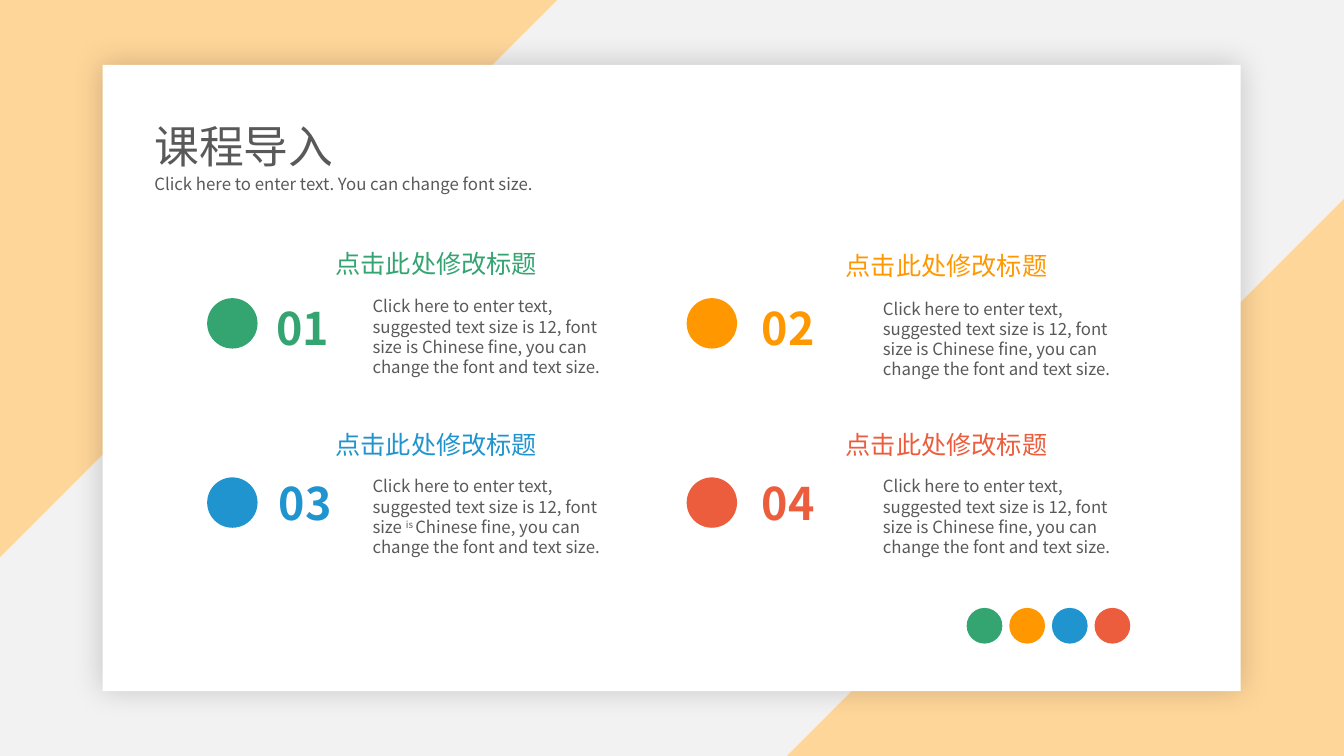
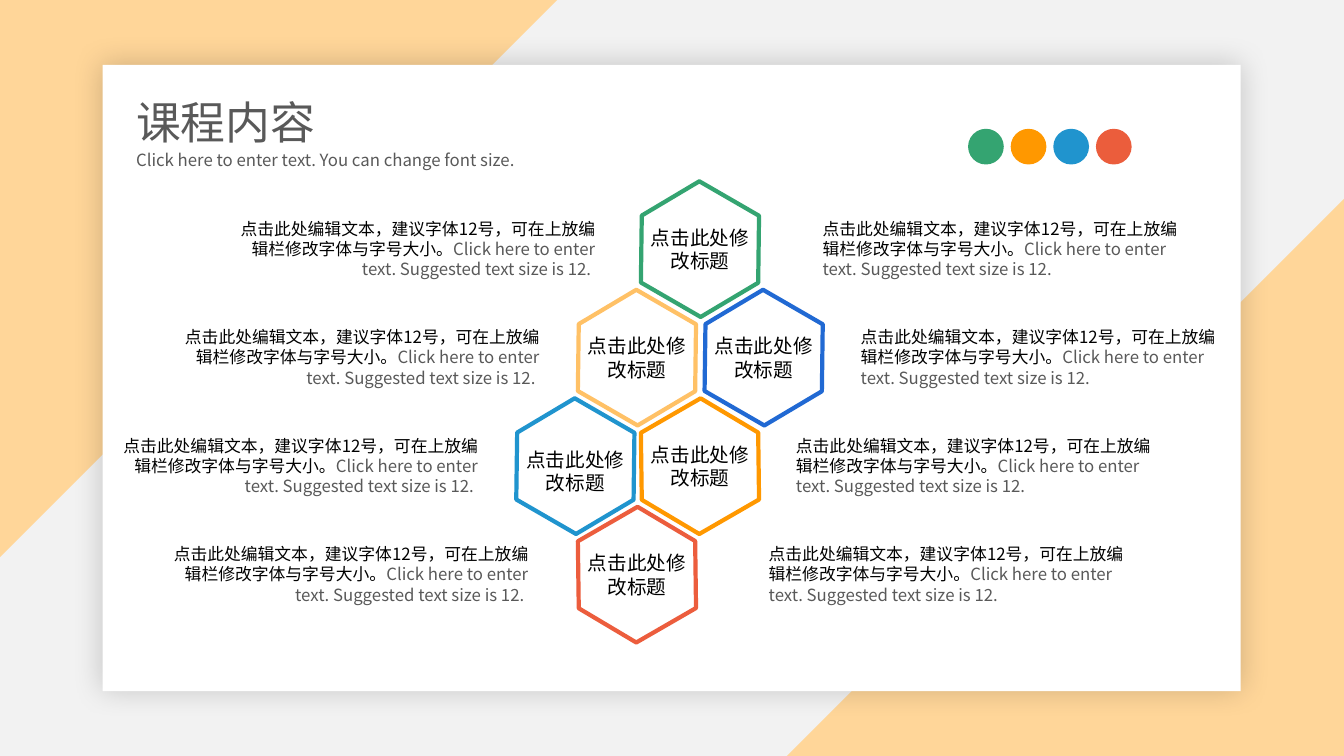
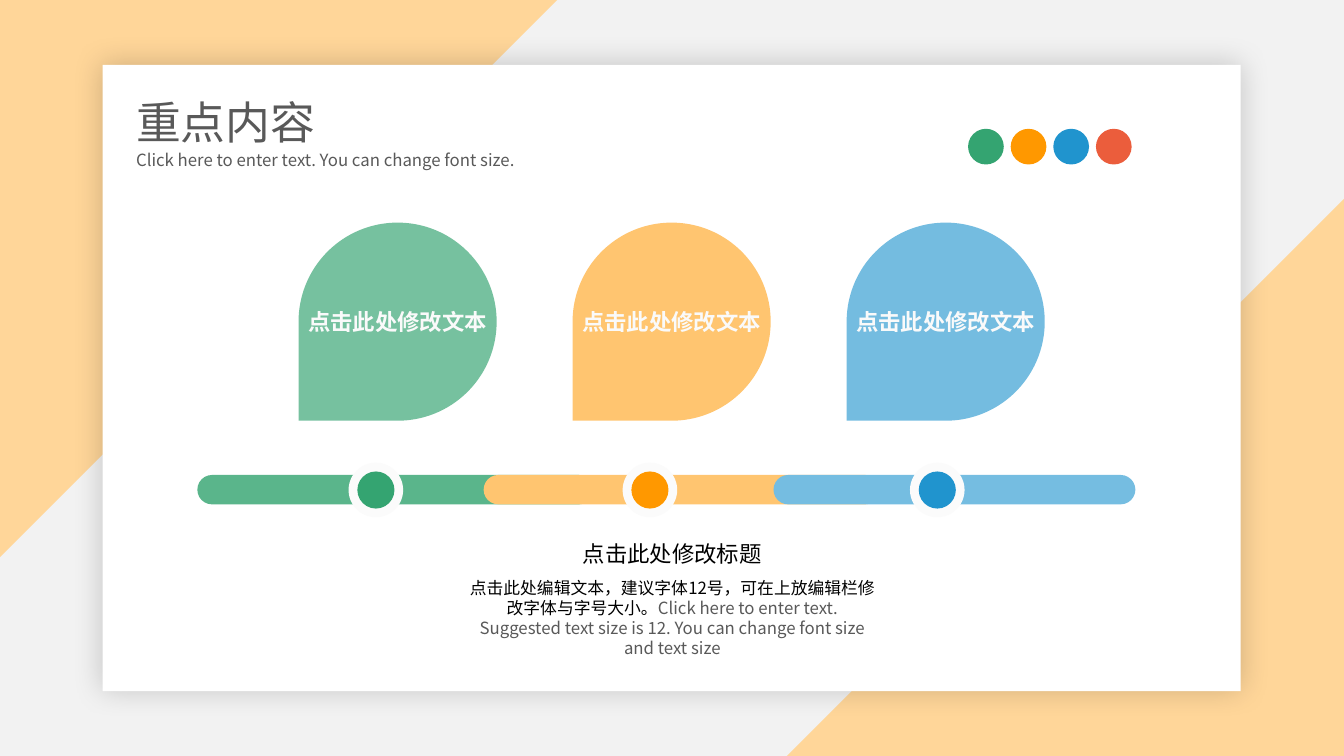
from collections import namedtuple

from lxml.etree import SubElement
from pptx import Presentation
from pptx.dml.color import RGBColor
from pptx.enum.shapes import MSO_SHAPE
from pptx.enum.text import MSO_ANCHOR, MSO_AUTO_SIZE, PP_ALIGN
from pptx.oxml.ns import qn
from pptx.util import Pt

FONT = "Noto Sans CJK SC"
WHITE = RGBColor(0xFF, 0xFF, 0xFF)
BLACK = RGBColor(0x00, 0x00, 0x00)
GREY = RGBColor(0x59, 0x59, 0x59)
PALE_GREY = RGBColor(0xF2, 0xF2, 0xF2)
PEACH = RGBColor(0xFF, 0xD6, 0x99)
GREEN = RGBColor(0x34, 0xA4, 0x71)
ORANGE = RGBColor(0xFF, 0x98, 0x00)
BLUE = RGBColor(0x20, 0x94, 0xCE)
RED = RGBColor(0xEC, 0x5D, 0x3D)
DEEP_RED = RGBColor(0xE9, 0x45, 0x20)
ROYAL_BLUE = RGBColor(0x21, 0x69, 0xD3)
LIGHT_ORANGE = RGBColor(0xFF, 0xC5, 0x70)
LIGHT_BLUE = RGBColor(0x75, 0xBD, 0xE1)
RING_WHITE = RGBColor(0xFB, 0xFB, 0xFB)
LABEL_WHITE = RGBColor(0xFA, 0xFA, 0xFA)

SUBTITLE = "Click here to enter text. You can change font size."
HEADING = "点击此处修改标题"
PETAL_LABEL = "点击此处修改文本"
CHINESE_NOTE = "点击此处编辑文本，建议字体12号，可在上放编辑栏修改字体与字号大小。"
ENGLISH_NOTE = "Click here to enter text. Suggested text size is 12."
INTRO_START = "Click here to enter text, suggested text size is 12, font size "
INTRO_END = "Chinese fine, you can change the font and text size."

Run = namedtuple("Run", "text colour raised", defaults=(GREY, False))
Section = namedtuple(
    "Section", "number colour circle number_place align text_place body_drop raised")
Hexagon = namedtuple("Hexagon", "left row colour rotation alpha label_drop",
                     defaults=(30, None, 21.5))


def apply(target, values):
    for name, value in values.items():
        setattr(target, name, value)


def place(shape, box):
    names = ("left", "top", "width", "height")
    apply(shape, {name: Pt(value) for name, value in zip(names, box)})


def add_figure(shapes, kind, box, fill=None, line=None, alpha=None, rotation=0):
    shape = shapes.add_shape(kind, *(Pt(value) for value in box))
    shape.shadow.inherit = False
    shape.rotation = rotation
    if fill is None:
        shape.fill.background()
    else:
        shape.fill.solid()
        shape.fill.fore_color.rgb = fill
    if line is None:
        shape.line.fill.background()
    else:
        shape.line.color.rgb = line
        shape.line.width = Pt(3)
    if alpha is not None:
        for colour in shape.element.iter(qn("a:srgbClr")):
            SubElement(colour, qn("a:alpha"), val=str(alpha * 1000))
    return shape


def write_text(shape, runs, size, align=PP_ALIGN.LEFT, bold=False):
    apply(shape.text_frame, {
        "word_wrap": True,
        "auto_size": MSO_AUTO_SIZE.SHAPE_TO_FIT_TEXT,
        "vertical_anchor": MSO_ANCHOR.TOP,
    })
    paragraph = shape.text_frame.paragraphs[0]
    if shape.is_placeholder:
        properties = paragraph._p.get_or_add_pPr()
        properties.set("marL", "0")
        properties.set("indent", "0")
        SubElement(properties, qn("a:buNone"))
    apply(paragraph, {
        "alignment": align,
        "space_before": Pt(0),
        "line_spacing": Pt(size * 1.2),
    })
    for content in runs:
        run = paragraph.add_run()
        run.text = content.text
        apply(run.font, {"size": Pt(size), "bold": bold, "name": FONT})
        run.font.color.rgb = content.colour
        properties = run._r.get_or_add_rPr()
        SubElement(properties, qn("a:ea"), typeface=FONT)
        if content.raised:
            properties.set("baseline", "30000")


def add_text(slide, box, runs, size, **formats):
    shape = slide.shapes.add_textbox(*(Pt(value) for value in box))
    write_text(shape, runs, size, **formats)


def add_card_shadow(card):
    effects = card.element.spPr.find(qn("a:effectLst"))
    shadow = SubElement(effects, qn("a:outerShdw"), blurRad=str(Pt(22)),
                        dist="0", dir="0", algn="ctr", rotWithShape="0")
    colour = SubElement(shadow, qn("a:srgbClr"), val=str(BLACK))
    SubElement(colour, qn("a:alpha"), val="19000")


def move_backdrop_to_layout(slide, layout):
    shapes = slide.shapes
    triangle = MSO_SHAPE.RIGHT_TRIANGLE
    backdrop = [
        add_figure(shapes, MSO_SHAPE.RECTANGLE, (0, 0, 960, 540), PALE_GREY),
        add_figure(shapes, triangle, (0, 0, 398, 398), PEACH, rotation=90),
        add_figure(shapes, triangle, (562, 142, 398, 398), PEACH, rotation=270),
        add_figure(shapes, MSO_SHAPE.RECTANGLE, (73.25, 46.25, 813, 447.5), WHITE),
    ]
    add_card_shadow(backdrop[-1])
    for index, shape in enumerate(backdrop):
        shape.element.nvSpPr.cNvPr.set("id", str(101 + index))
        layout.shapes.element.insert(2 + index, shape.element)


def add_titles(slide, title, left=90, top=64):
    heading, subtitle = slide.shapes.title, slide.placeholders[1]
    place(heading, (left, top, 200, 46))
    write_text(heading, [Run(title)], 32)
    place(subtitle, (left, top + 39, 294.5, 21.8))
    write_text(subtitle, [Run(SUBTITLE)], 12)


def add_dots(slide, left=691.5, top=92):
    group = slide.shapes.add_group_shape()
    dots = ((GREEN, None), (ORANGE, None), (BLUE, None), (DEEP_RED, 87))
    for index, (colour, alpha) in enumerate(dots):
        add_figure(group.shapes, MSO_SHAPE.OVAL,
                   (left + index * 30.45, top, 25.5, 25.5), colour, alpha=alpha)


def add_section(slide, section):
    left, top = section.text_place
    add_figure(slide.shapes, MSO_SHAPE.OVAL, (*section.circle, 36, 36), section.colour)
    add_text(slide, (*section.number_place, 86.4, 46),
             [Run(section.number, section.colour)], 32, align=section.align, bold=True)
    add_text(slide, (left, top, 170, 29), [Run(HEADING, section.colour)], 18)
    if section.raised:
        runs = [Run(INTRO_START), Run("is ", raised=True), Run(INTRO_END)]
    else:
        runs = [Run(INTRO_START + "is " + INTRO_END)]
    add_text(slide, (left + 26.5, top + section.body_drop, 195, 65.5), runs, 12)


def fill_introduction(slide):
    add_titles(slide, "课程导入", 103, 81.5)
    center, left = PP_ALIGN.CENTER, PP_ALIGN.LEFT
    sections = (
        Section("01", GREEN, (148, 213), (173, 211), center, (232.5, 173.5), 34.5, False),
        Section("02", ORANGE, (490.5, 213), (537, 211), left, (597, 175), 34.5, False),
        Section("03", BLUE, (148, 341), (175, 336), center, (232.5, 303), 33.5, True),
        Section("04", RED, (490.5, 341), (537, 336), left, (597, 303), 33.5, False),
    )
    for section in sections:
        add_section(slide, section)
    add_dots(slide, 690.5, 434.25)


def fill_contents(slide):
    add_titles(slide, "课程内容")
    add_dots(slide)
    row_step = 77.5
    hexagons = (
        Hexagon(452, 0, GREEN),
        Hexagon(407, 1, ORANGE, alpha=60),
        Hexagon(452, 2, ORANGE, rotation=330),
        Hexagon(407, 3, RED, rotation=330),
        Hexagon(497.5, 1, ROYAL_BLUE),
        Hexagon(363, 2, BLUE, label_drop=25),
    )
    for hexagon in hexagons:
        top = 136.25 + hexagon.row * row_step
        shape = add_figure(slide.shapes, MSO_SHAPE.HEXAGON, (hexagon.left, top, 96, 83.5),
                           line=hexagon.colour, alpha=hexagon.alpha,
                           rotation=hexagon.rotation)
        shape.adjustments[0] = 0.28
        add_text(slide, (hexagon.left - 0.75, top + hexagon.label_drop, 97.5, 41),
                 [Run(HEADING, BLACK)], 14, align=PP_ALIGN.CENTER)
    columns = (
        ((157.75, 118, 74, 110), PP_ALIGN.RIGHT, ENGLISH_NOTE + " "),
        ((580.5, 607.75, 561.5, 542), PP_ALIGN.LEFT, ENGLISH_NOTE),
    )
    for lefts, align, english in columns:
        for row, left in enumerate(lefts):
            add_text(slide, (left, 152.5 + row * row_step, 274.5, 51),
                     [Run(CHINESE_NOTE, BLACK), Run(english)], 12, align=align)


def add_knob(slide, center, colour):
    for diameter, fill in ((39, RING_WHITE), (26.5, colour)):
        add_figure(slide.shapes, MSO_SHAPE.OVAL,
                   (center - diameter / 2, 350 - diameter / 2, diameter, diameter), fill)


def fill_key_points(slide):
    add_titles(slide, "重点内容")
    add_dots(slide)
    bars = ((141, 283, GREEN, 81), (345.5, 283, LIGHT_ORANGE, None),
            (552.5, 258.5, LIGHT_BLUE, None))
    for left, width, colour, alpha in bars:
        bar = add_figure(slide.shapes, MSO_SHAPE.ROUNDED_RECTANGLE,
                         (left, 339.25, width, 21), colour, alpha=alpha)
        bar.adjustments[0] = 0.5
    for center, colour in ((268.5, GREEN), (464.25, ORANGE), (669.5, BLUE)):
        add_knob(slide, center, colour)
    for index, (colour, alpha) in enumerate(((GREEN, 67), (ORANGE, 56), (BLUE, 62))):
        left = 213.25 + index * 195.75
        add_figure(slide.shapes, MSO_SHAPE.TEAR, (left, 159, 141.5, 141.5),
                   colour, alpha=alpha, rotation=180)
        add_text(slide, (left - 7, 216.75, 155.5, 26.5),
                 [Run(PETAL_LABEL, LABEL_WHITE)], 16, align=PP_ALIGN.CENTER, bold=True)
    add_text(slide, (402.5, 382.5, 155.5, 26.5), [Run(HEADING, BLACK)], 16,
             align=PP_ALIGN.CENTER)
    add_text(slide, (327, 409, 306.5, 65.5),
             [Run(CHINESE_NOTE, BLACK),
              Run(ENGLISH_NOTE + " You can change font size and text size")],
             12, align=PP_ALIGN.CENTER)


def main():
    presentation = Presentation()
    apply(presentation, {"slide_width": Pt(960), "slide_height": Pt(540)})
    layout = presentation.slide_layouts[1]
    slides = [presentation.slides.add_slide(layout) for _ in range(3)]
    move_backdrop_to_layout(slides[0], layout)
    for fill_slide, slide in zip((fill_introduction, fill_contents, fill_key_points), slides):
        fill_slide(slide)
    presentation.save("out.pptx")


if __name__ == "__main__":
    main()
